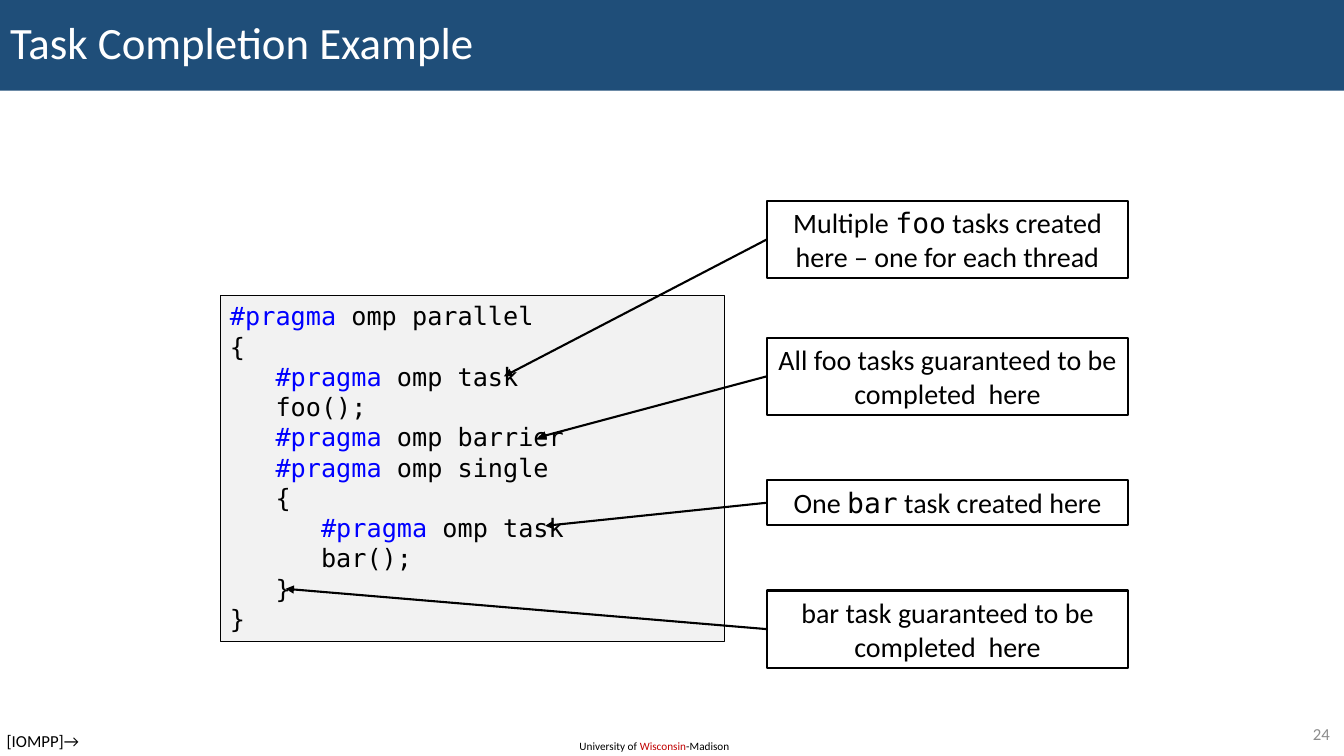
from lxml.etree import SubElement as Sub
from pptx import Presentation
from pptx.dml.color import RGBColor as Rgb
from pptx.enum.shapes import MSO_CONNECTOR as Link, MSO_SHAPE as Form
from pptx.enum.text import MSO_ANCHOR as Anchor, MSO_AUTO_SIZE as Fit, PP_ALIGN as Align
from pptx.oxml.ns import qn
from pptx.util import Inches, Pt

COLS, ROWS = 16, 9
HUES = {"ink": "000000", "bar": "1F4E79", "page": "FFFFFF", "code": "F2F2F2",
        "key": "0000FF", "red": "C00000", "gray": "8C8C8C"}
SANS, MONO = "Calibri", "DejaVu Sans Mono"

CODE = """#pragma omp parallel
{
   #pragma omp task
   foo();
   #pragma omp barrier
   #pragma omp single
   {
      #pragma omp task
      bar();
   }
}"""

# Text, top row, height in rows, arrow tip (column, row)
NOTES = [
    ("Multiple |foo| tasks created here – one for each thread", 2.39, 0.92, (6, 4.48)),
    ("All foo tasks guaranteed to be completed  here", 4.02, 0.92, (6.4, 5.21)),
    ("One |bar| task created here", 5.72, 0.53, (6.49, 6.26)),
    ("bar task guaranteed to be completed  here", 7.03, 0.92, (3.4, 7.01)),
]


class Deck:
    def __init__(self, wide, high):
        self.prs = Presentation()
        self.prs.slide_width, self.prs.slide_height = Inches(wide), Inches(high)
        self.col, self.row = Inches(wide) / COLS, Inches(high) / ROWS
        self.slide = self.prs.slides.add_slide(self.prs.slide_layouts[5])
        self.shapes = self.slide.shapes

    def hue(self, name):
        return Rgb.from_string(HUES[name])

    def spot(self, x, y):
        return round(x * self.col), round(y * self.row)

    def put(self, shape, text, size, face=SANS, hue="ink", align=Align.LEFT,
            anchor=Anchor.TOP, alt_face=None, alt_hue=None):
        """Fill a shape with lines; parts between bars take the alternate style."""
        frame = shape.text_frame
        frame.word_wrap, frame.auto_size = True, Fit.NONE
        frame.vertical_anchor = anchor
        for i, line in enumerate(text.split("\n")):
            para = frame.paragraphs[0] if i == 0 else frame.add_paragraph()
            para.alignment = align
            font = para.font
            font.size, font.name, font.color.rgb = Pt(size), face, self.hue(hue)
            for j, part in enumerate(line.split("|")):
                if not part:
                    continue
                run = para.add_run()
                run.text = part
                if j % 2 and alt_face:
                    run.font.name = alt_face
                if j % 2 and alt_hue:
                    run.font.color.rgb = self.hue(alt_hue)
        return frame

    def title(self, text, high):
        head = self.shapes.title
        head.left, head.top = 0, 0
        head.width, head.height = self.spot(COLS, high)
        head.fill.solid()
        head.fill.fore_color.rgb = self.hue("bar")
        frame = self.put(head, text, 32, hue="page", anchor=Anchor.MIDDLE)
        frame.paragraphs[0].line_spacing = 0.9

    def label(self, text, x, y, w, h, size, **style):
        self.put(self.shapes.add_textbox(*self.spot(x, y), *self.spot(w, h)),
                 text, size, **style)

    def box(self, text, x, y, w, h, size, fill=None, edge=1.5, **style):
        rect = self.shapes.add_shape(Form.RECTANGLE, *self.spot(x, y), *self.spot(w, h))
        rect.shadow.inherit = False
        if fill:
            rect.fill.solid()
            rect.fill.fore_color.rgb = self.hue(fill)
        else:
            rect.fill.background()
        rect.line.color.rgb, rect.line.width = self.hue("ink"), Pt(edge)
        self.put(rect, text, size, **style)
        return rect

    def arrow(self, rect, tip):
        start = rect.left, rect.top + rect.height // 2
        link = self.shapes.add_connector(Link.STRAIGHT, *start, *self.spot(*tip))
        link.begin_connect(rect, 1)
        link.line.color.rgb, link.line.width = self.hue("ink"), Pt(1.5)
        props = link._element.spPr
        Sub(props.get_or_add_ln(), qn("a:tailEnd"), type="triangle")
        Sub(props, qn("a:effectLst"))


def main():
    deck = Deck(13.33, 7.5)
    deck.title("Task Completion Example", 1.08)

    # Code panel
    deck.box(CODE.replace("#pragma ", "|#pragma |"), 2.62, 3.52, 6, 4.12, 18,
             fill="code", edge=0.75, face=MONO, alt_hue="key")

    # Notes with arrows into the code
    for text, top, high, tip in NOTES:
        note = deck.box(text, 9.13, top, 4.3, high, 20, align=Align.CENTER,
                        anchor=Anchor.MIDDLE, alt_face=MONO)
        deck.arrow(note, tip)

    # Footer
    deck.label("[IOMPP]→", -0.04, 8.64, 1.37, 0.36, 12)
    deck.label("University of |Wisconsin|-Madison", 6.78, 8.74, 2.06, 0.29, 8,
               alt_hue="red")
    deck.label("24", 15.04, 8.56, 0.91, 0.35, 12, hue="gray", align=Align.RIGHT,
               anchor=Anchor.MIDDLE)

    deck.prs.save("out.pptx")


if __name__ == "__main__":
    main()
